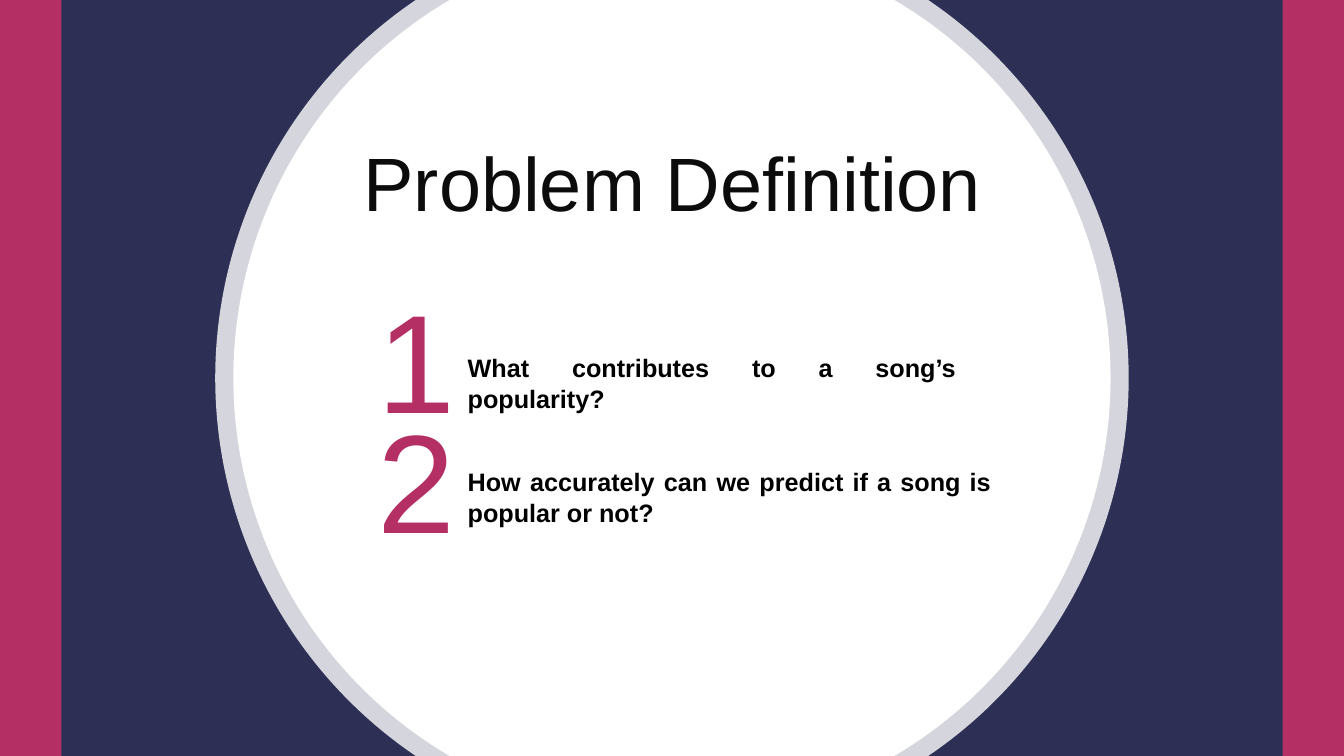
from math import asin, cos, pi, sin, tan

from lxml import etree
from pptx import Presentation
from pptx.dml.color import RGBColor
from pptx.enum.shapes import MSO_SHAPE as Shape
from pptx.enum.text import (
    MSO_ANCHOR as Anchor, MSO_AUTO_SIZE as AutoSize, PP_ALIGN as Align)
from pptx.oxml.ns import qn
from pptx.util import Inches, Pt

BACKGROUND = RGBColor(0x41, 0x41, 0x41)
NAVY = RGBColor(0x2D, 0x2F, 0x55)
PINK = RGBColor(0xB4, 0x2F, 0x63)
WHITE = RGBColor(0xFF, 0xFF, 0xFF)
TITLE_INK = RGBColor(0x0C, 0x0C, 0x0C)
BLACK = RGBColor(0, 0, 0)

WIDTH, HEIGHT = 13.33, 7.5
BAND_WIDTH = 0.61

# Question, top, width, height, top of its number
QUESTIONS = [
    ("What contributes to a song’s popularity?", 3.45, 5.04, 0.4, 2.66),
    ("How accurately can we predict if a song is popular or not?",
     4.58, 5.39, 0.71, 3.85),
]


def paint(shape, color):
    shape.fill.solid()
    shape.fill.fore_color.rgb = color
    shape.line.fill.background()
    shape.shadow.inherit = False


def add_band(slide, left, width, color):
    """Add a rectangle as tall as the slide."""
    band = slide.shapes.add_shape(
        Shape.RECTANGLE, Inches(left), 0, Inches(width), Inches(HEIGHT))
    paint(band, color)


def bend(disc, line, start, sweep, radius):
    """Turn a straight segment of the disc into an arc of its circle."""
    pull = 4 / 3 * tan(sweep / 4)
    curve = etree.Element(qn("a:cubicBezTo"))
    for angle, tangent in ((start, pull), (start + sweep, -pull),
                           (start + sweep, 0)):
        x = WIDTH / 2 + radius * (cos(angle) - tangent * sin(angle))
        y = HEIGHT / 2 + radius * (sin(angle) + tangent * cos(angle))
        etree.SubElement(curve, qn("a:pt"), x=str(Inches(x) - disc.left),
                         y=str(Inches(y) - disc.top))
    line.getparent().replace(line, curve)


def add_disc(slide, radius, opacity=100):
    """Add a centred white circle, cut off at the slide's top and bottom."""
    reach = asin(HEIGHT / 2 / radius)
    angles = [side + turn for side in (0, pi) for turn in (-reach, 0, reach)]
    points = [(Inches(WIDTH / 2 + radius * cos(angle)),
               Inches(HEIGHT / 2 + radius * sin(angle))) for angle in angles]
    outline = slide.shapes.build_freeform(*points[0])
    outline.add_line_segments(points[1:], close=True)
    disc = outline.convert_to_shape()
    paint(disc, WHITE)

    # The third segment is the straight bottom edge
    lines = list(disc.element.iter(qn("a:lnTo")))
    for index in (0, 1, 3, 4):
        bend(disc, lines[index], angles[index], reach, radius)
    if opacity < 100:
        color = next(disc.element.iter(qn("a:srgbClr")))
        etree.SubElement(color, qn("a:alpha"), val=str(opacity * 1000))


def add_text(slide, text, left, top, width, height, size, color,
             align=Align.LEFT, anchor=Anchor.TOP, bold=False, spacing=1.0,
             grow=AutoSize.SHAPE_TO_FIT_TEXT):
    frame = slide.shapes.add_textbox(
        Inches(left), Inches(top), Inches(width), Inches(height)).text_frame
    frame.word_wrap = True
    frame.auto_size = grow
    frame.vertical_anchor = anchor
    paragraph = frame.paragraphs[0]
    paragraph.text = text
    paragraph.alignment = align
    paragraph.line_spacing = spacing
    font = paragraph.font
    font.name = "Arial"
    font.size = Pt(size)
    font.bold = bold
    font.color.rgb = color


def main():
    deck = Presentation()
    deck.slide_width, deck.slide_height = Inches(WIDTH), Inches(HEIGHT)
    slide = deck.slides.add_slide(deck.slide_layouts[6])
    slide.background.fill.solid()
    slide.background.fill.fore_color.rgb = BACKGROUND

    # Backdrop, ring and disc
    add_band(slide, 0, WIDTH, NAVY)
    add_disc(slide, 4.53, opacity=80)
    add_disc(slide, 4.35)

    # Side bands
    for left in (0, WIDTH - BAND_WIDTH):
        add_band(slide, left, BAND_WIDTH, PINK)

    # Title
    add_text(slide, "Problem Definition", 2.8, -0.32, 7.74, 4.35, 54,
             TITLE_INK, Align.CENTER, Anchor.MIDDLE, spacing=0.9,
             grow=AutoSize.NONE)

    # Numbered questions
    for number, (question, top, width, height, number_top) in enumerate(
            QUESTIONS, start=1):
        add_text(slide, question, 4.54, top, width, height, 18, BLACK,
                 Align.JUSTIFY, bold=True)
        add_text(slide, str(number), 3.65, number_top, 0.96, 1.78, 100, PINK)

    deck.save("out.pptx")


if __name__ == "__main__":
    main()
